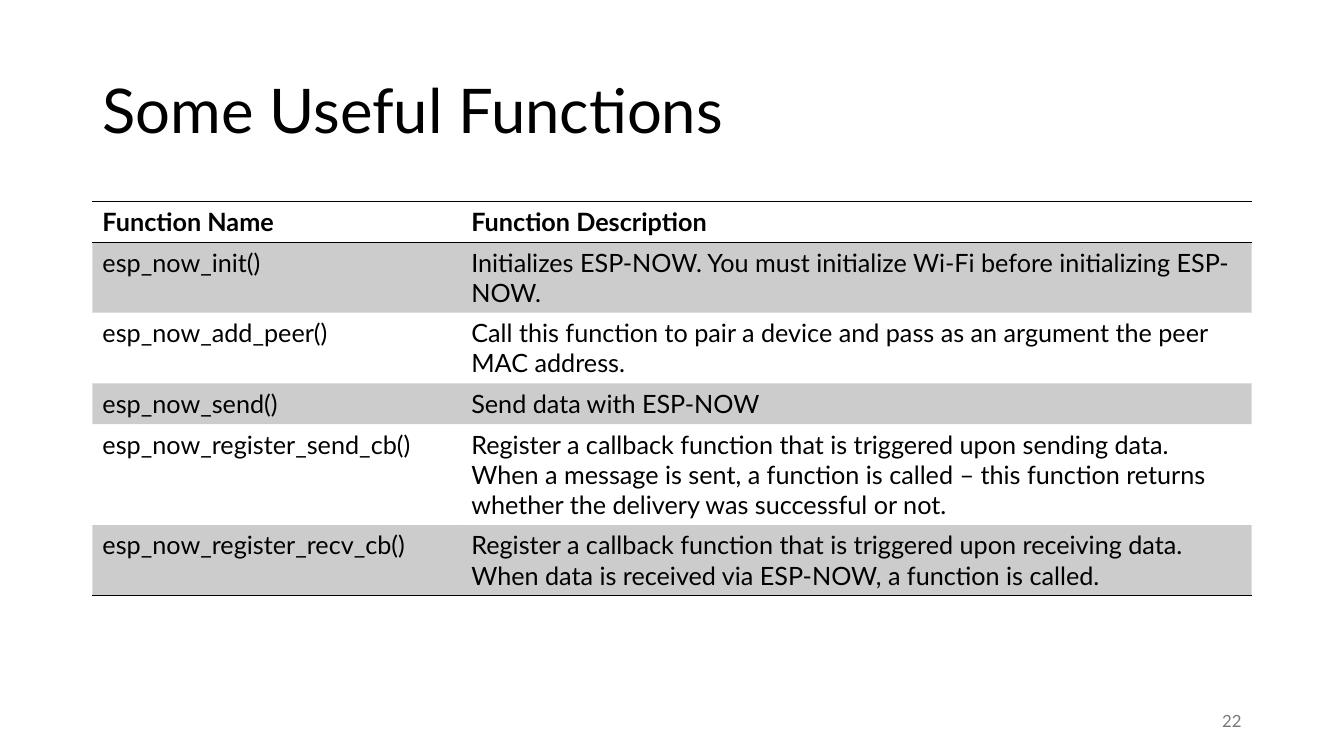
import pptx
import pptx.util
import pptx.dml.color
import pptx.enum.text
import pptx.oxml
import pptx.oxml.ns

Pt = pptx.util.Pt
ALIGN = pptx.enum.text.PP_ALIGN
MIDDLE = pptx.enum.text.MSO_ANCHOR.MIDDLE
NS = pptx.oxml.ns.nsdecls("a")
PLAIN = "{2D5ABB26-0587-4C30-8999-92F81FD0307C}"

ROWS = [
    ("Function Name", "Function Description"),
    ("esp_now_init()",
     "Initializes ESP-NOW. You must initialize Wi-Fi before initializing ESP-NOW."),
    ("esp_now_add_peer()",
     "Call this function to pair a device and pass as an argument the peer MAC address."),
    ("esp_now_send()", "Send data with ESP-NOW"),
    ("esp_now_register_send_cb()",
     "Register a callback function that is triggered upon sending data. When a message "
     "is sent, a function is called – this function returns whether the delivery was "
     "successful or not."),
    ("esp_now_register_recv_cb()",
     "Register a callback function that is triggered upon receiving data. When data is "
     "received via ESP-NOW, a function is called."),
]


def color(code):
    return pptx.dml.color.RGBColor.from_string(code)


class Deck:
    font = "Lato"
    ink = "000000"
    gray = "797979"

    def __init__(self):
        self.prs = pptx.Presentation()
        self.prs.slide_width, self.prs.slide_height = Pt(960), Pt(540)
        self.slide = self.prs.slides.add_slide(self.prs.slide_layouts[5])

    def label(self, frame, text, size, code, bold=False, align=ALIGN.LEFT):
        frame.text = text
        frame.word_wrap = True
        line = frame.paragraphs[0]
        line.alignment = align
        font = line.runs[0].font
        font.name, font.size, font.bold = self.font, Pt(size), bold
        font.color.rgb = color(code)
        return line

    def title(self, text, left, top, width, height):
        shape = self.slide.shapes.title
        shape.left, shape.top = Pt(left), Pt(top)
        shape.width, shape.height = Pt(width), Pt(height)
        self.label(shape.text_frame, text, 44, self.ink).line_spacing = 0.9
        shape.text_frame.vertical_anchor = MIDDLE

    def number(self, text, left, top, width, height):
        box = self.slide.shapes.add_textbox(Pt(left), Pt(top), Pt(width), Pt(height))
        self.label(box.text_frame, text, 12, self.gray, align=ALIGN.RIGHT)
        box.text_frame.vertical_anchor = MIDDLE

    def rule(self, cell, *sides):
        """Draw 1 pt borders; sides are given in the order T, B."""
        for spot, side in enumerate(sides):
            cell._tc.get_or_add_tcPr().insert(spot, pptx.oxml.parse_xml(
                f'<a:ln{side} {NS} w="{Pt(1)}"><a:solidFill>'
                f'<a:srgbClr val="{self.ink}"/></a:solidFill></a:ln{side}>'))

    def shade(self, cell):
        """Fill with 20 % ink."""
        cell._tc.get_or_add_tcPr().append(pptx.oxml.parse_xml(
            f'<a:solidFill {NS}><a:srgbClr val="{self.ink}">'
            '<a:alpha val="20000"/></a:srgbClr></a:solidFill>'))

    def table(self, rows, left, top, widths, height):
        frame = self.slide.shapes.add_table(
            len(rows), len(widths), Pt(left), Pt(top),
            Pt(sum(widths)), Pt(height * len(rows)))
        grid = frame.table
        grid._tbl.tblPr[0].text = PLAIN
        grid.horz_banding = False
        for col, width in zip(grid.columns, widths):
            col.width = Pt(width)
        for r, row in enumerate(rows):
            for c, text in enumerate(row):
                cell = grid.cell(r, c)
                self.label(cell.text_frame, text, 18, self.ink, bold=r == 0)
                if r % 2:
                    self.shade(cell)
                else:
                    cell.fill.background()
                if r == 0:
                    self.rule(cell, "T", "B")
                elif r == len(rows) - 1:
                    self.rule(cell, "B")


def main():
    deck = Deck()
    deck.title("Some Useful Functions", 66, 28.75, 828, 104.4)
    deck.table(ROWS, 66, 143.75, (263.5, 564.5), 29.2)
    deck.number("22", 678, 500.5, 216, 28.75)
    deck.prs.save("out.pptx")


if __name__ == "__main__":
    main()
